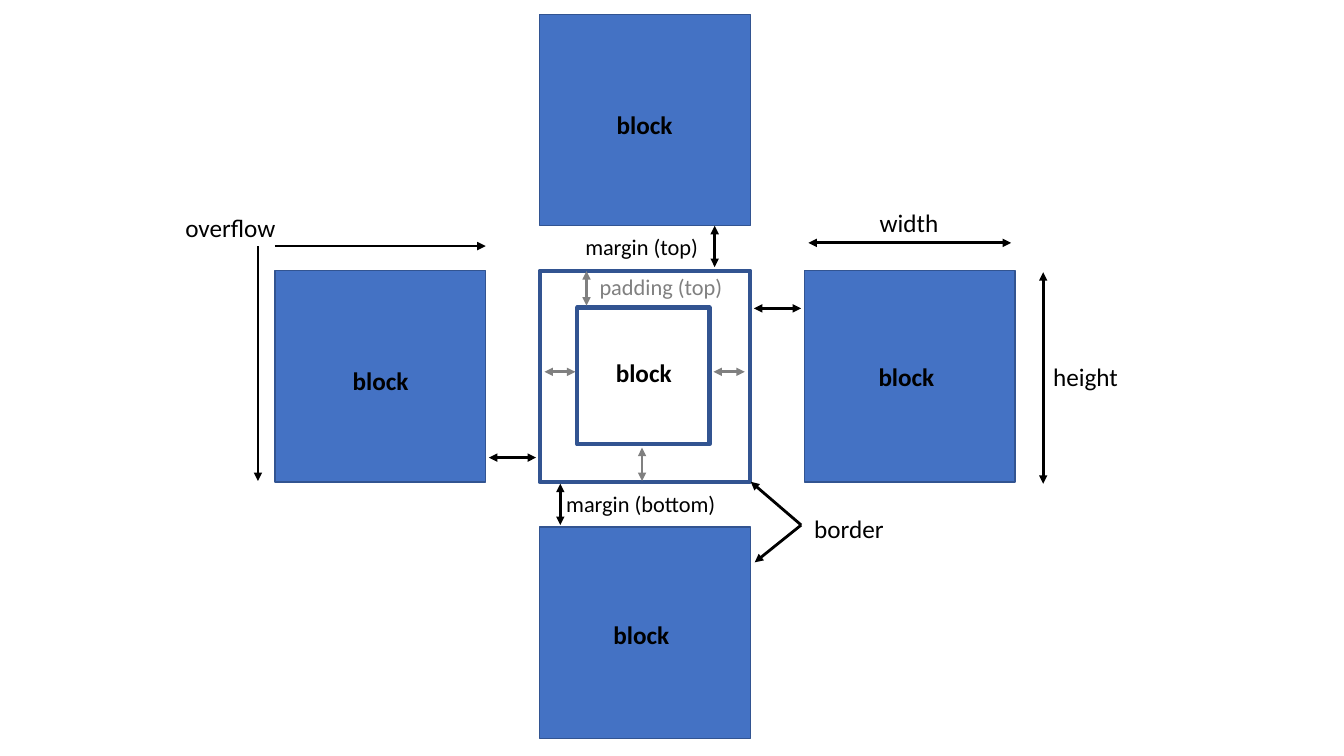
from lxml.etree import SubElement
from pptx import Presentation
from pptx.dml.color import RGBColor
from pptx.enum.shapes import MSO_CONNECTOR, MSO_SHAPE
from pptx.enum.text import MSO_AUTO_SIZE
from pptx.oxml.ns import qn
from pptx.util import Cm, Pt

COLORS = {"block": "4472C4", "edge": "325491", "ink": "000000", "padding": "808080"}
FONT = "Calibri"

# Blocks sit on a 3 x 3 grid: (column, row)
BLOCK_W, BLOCK_H = 5.31, 5.33
GRID_X, GRID_Y = 6.93, 0.36
STEP_X, STEP_Y = 6.67, 6.46
CENTRE = (1, 1)
NEIGHBOURS = [(1, 0), (2, 1), (0, 1), (1, 2)]
CONTENT_BOX = (14.55, 7.75, 3.33, 3.45)

# Arrows: x1, y1, x2, y2 in cm
TWO_WAY = {
    "ink": [
        (26.29, 6.86, 26.29, 12.19),   # height
        (20.37, 6.12, 25.48, 6.12),    # width
        (14.12, 13.23, 14.12, 12.19),  # margins: bottom, top, left, right
        (18.01, 6.73, 18.01, 5.69),
        (12.32, 11.53, 13.51, 11.53),
        (19.0, 7.77, 20.19, 7.77),
    ],
    "padding": [
        (14.78, 6.83, 14.78, 7.7),     # top, bottom, left, right
        (16.18, 11.28, 16.18, 12.12),
        (13.72, 9.37, 14.5, 9.37),
        (17.98, 9.37, 18.77, 9.37),
    ],
}
ONE_WAY = [
    (6.93, 6.2, 12.24, 6.2),           # overflow
    (6.5, 6.2, 6.5, 12.12),
    (20.19, 13.23, 18.92, 12.14),      # border
    (20.19, 13.23, 19.02, 14.17),
]

# Labels: text, left, top, width in cm
PROPERTIES = [
    ("width", 21.92, 5.11, 2.01),
    ("height", 26.29, 8.97, 2.16),
    ("overflow", 4.42, 5.23, 2.82),
    ("border", 20.27, 12.8, 2.29),
]
SPACINGS = [
    ("padding (top)", 14.86, 6.76, 3.99, "padding"),
    ("margin (bottom)", 14.02, 12.22, 5.05, "ink"),
    ("margin (top)", 14.5, 5.74, 3.38, "ink"),
]
BLOCK_LABELS = [(15.27, 8.89), (21.89, 8.97), (15.21, 15.47), (8.64, 9.09), (15.29, 2.62)]

prs = Presentation()
prs.slide_width, prs.slide_height = Cm(33.87), Cm(19.05)
s = prs.slides.add_slide(prs.slide_layouts[6])


def rgb(name):
    return RGBColor.from_string(COLORS[name])


def add_box(x, y, w, h, line_width, fill=None):
    sp = s.shapes.add_shape(MSO_SHAPE.RECTANGLE, Cm(x), Cm(y), Cm(w), Cm(h))
    sp.shadow.inherit = False
    if fill:
        sp.fill.solid()
        sp.fill.fore_color.rgb = rgb(fill)
    else:
        sp.fill.background()
    sp.line.color.rgb = rgb("edge")
    sp.line.width = Pt(line_width)


def add_block(col, row, line_width, fill=None):
    add_box(GRID_X + col * STEP_X, GRID_Y + row * STEP_Y, BLOCK_W, BLOCK_H, line_width, fill)


def add_arrow(points, color, ends):
    c = s.shapes.add_connector(MSO_CONNECTOR.STRAIGHT, *(Cm(v) for v in points))
    c.line.color.rgb = rgb(color)
    c.line.width = Pt(2)
    ln = c.line._get_or_add_ln()
    for end in ends:
        SubElement(ln, qn("a:" + end), type="triangle")
    SubElement(c._element.spPr, qn("a:effectLst"))


def add_label(text, x, y, w, h=1.02, size=18, color="ink", bold=False, wrap=False):
    tf = s.shapes.add_textbox(Cm(x), Cm(y), Cm(w), Cm(h)).text_frame
    tf.word_wrap = wrap
    tf.auto_size = MSO_AUTO_SIZE.SHAPE_TO_FIT_TEXT
    r = tf.paragraphs[0].add_run()
    r.text = text
    r.font.name, r.font.size, r.font.bold = FONT, Pt(size), bold
    r.font.color.rgb = rgb(color)


# Boxes
add_block(*CENTRE, 3)
for col, row in NEIGHBOURS:
    add_block(col, row, 1, "block")
add_box(*CONTENT_BOX, 3)

# Arrows
for color, arrows in TWO_WAY.items():
    for points in arrows:
        add_arrow(points, color, ("headEnd", "tailEnd"))
for points in ONE_WAY:
    add_arrow(points, "ink", ("tailEnd",))

# Labels
for text, x, y, w in PROPERTIES:
    add_label(text, x, y, w)
for text, x, y, w, color in SPACINGS:
    add_label(text, x, y, w, h=0.94, size=16, color=color, wrap=True)
for x, y in BLOCK_LABELS:
    add_label("block", x, y, 1.93, bold=True)

prs.save("out.pptx")
